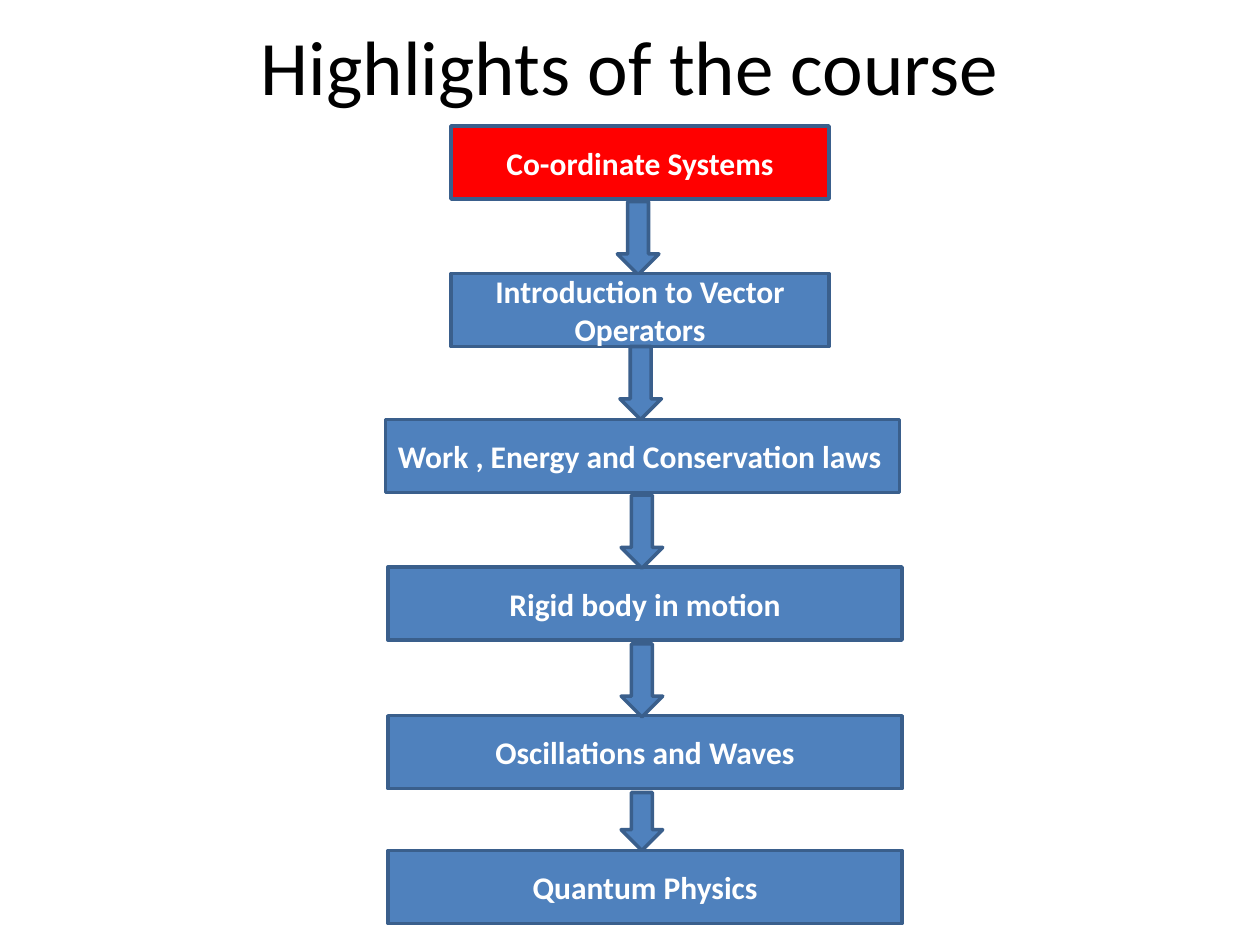
"""Build the course highlights slide: six topics joined by down arrows."""
from dataclasses import dataclass

from pptx import Presentation
from pptx.dml.color import RGBColor
from pptx.enum.shapes import MSO_SHAPE
from pptx.enum.text import MSO_ANCHOR, PP_ALIGN
from pptx.util import Inches, Pt

RECT, ARROW = MSO_SHAPE.RECTANGLE, MSO_SHAPE.DOWN_ARROW
MIDDLE = MSO_ANCHOR.MIDDLE
LEFT, CENTER = PP_ALIGN.LEFT, PP_ALIGN.CENTER

COLORS = {"blue": "4F81BD", "red": "FF0000", "edge": "3A5F8C",
          "white": "FFFFFF", "black": "000000"}
TITLE = {"name": "Calibri", "size": Pt(44), "bold": False}
LABEL = {"name": "Calibri", "size": Pt(18), "bold": True}
HIGH = 0.58


@dataclass
class Topic:
    """A labelled box in the course sequence."""
    text: str
    left: float
    top: float
    width: float = 4.08
    fill: str = "blue"
    align: PP_ALIGN = CENTER


@dataclass
class Arrow:
    """A block arrow leading to the next topic."""
    left: float
    top: float
    height: float = HIGH


STEPS = [
    Topic("Co-ordinate Systems", 3.58, 1, 3, "red"),
    Arrow(4.9, 1.6),
    Topic("Introduction to Vector Operators", 3.58, 2.17, 3),
    Topic("Work , Energy and Conservation laws", 3.06, 3.33, align=LEFT),
    Arrow(4.92, 2.75),
    Topic("Rigid body in motion", 3.08, 4.5),
    Arrow(4.93, 3.93),
    Topic("Oscillations and Waves", 3.08, 5.68),
    Arrow(4.93, 5.11),
    Topic("Quantum Physics", 3.08, 6.75),
    Arrow(4.93, 6.29, 0.46),
]


def tint(name: str) -> RGBColor:
    """Look up a colour by name."""
    return RGBColor.from_string(COLORS[name])


def write(frame, text: str, style: dict, color: str, align: PP_ALIGN) -> None:
    """Fill a text frame with one styled paragraph."""
    frame.word_wrap = True
    frame.vertical_anchor = MIDDLE
    para = frame.paragraphs[0]
    para.alignment = align
    run = para.add_run()
    run.text = text
    for key, value in style.items():
        setattr(run.font, key, value)
    run.font.color.rgb = tint(color)


def block(slide, kind: MSO_SHAPE, box: tuple, fill: str):
    """Draw a filled and outlined shape."""
    shape = slide.shapes.add_shape(kind, *map(Inches, box))
    shape.shadow.inherit = False
    shape.fill.solid()
    shape.fill.fore_color.rgb = tint(fill)
    shape.line.color.rgb = tint("edge")
    shape.line.width = Pt(2)
    return shape


def draw_topic(slide, item: Topic) -> None:
    """Draw a topic box with its label."""
    box = (item.left, item.top, item.width, HIGH)
    shape = block(slide, RECT, box, item.fill)
    write(shape.text_frame, item.text, LABEL, "white", item.align)


def draw_arrow(slide, item: Arrow) -> None:
    """Draw an arrow between topics."""
    block(slide, ARROW, (item.left, item.top, 0.33, item.height), "blue")


def main() -> None:
    """Build and save the slide."""
    deck = Presentation()
    deck.slide_width, deck.slide_height = Inches(10), Inches(7.5)
    slide = deck.slides.add_slide(deck.slide_layouts[5])
    title = slide.shapes.title
    place = {"left": 0.5, "top": 0.01, "width": 9, "height": 1}
    for key, value in place.items():
        setattr(title, key, Inches(value))
    write(title.text_frame, "Highlights of the course", TITLE, "black", CENTER)
    for item in STEPS:
        draw = draw_topic if isinstance(item, Topic) else draw_arrow
        draw(slide, item)
    deck.save("out.pptx")


if __name__ == "__main__":
    main()
